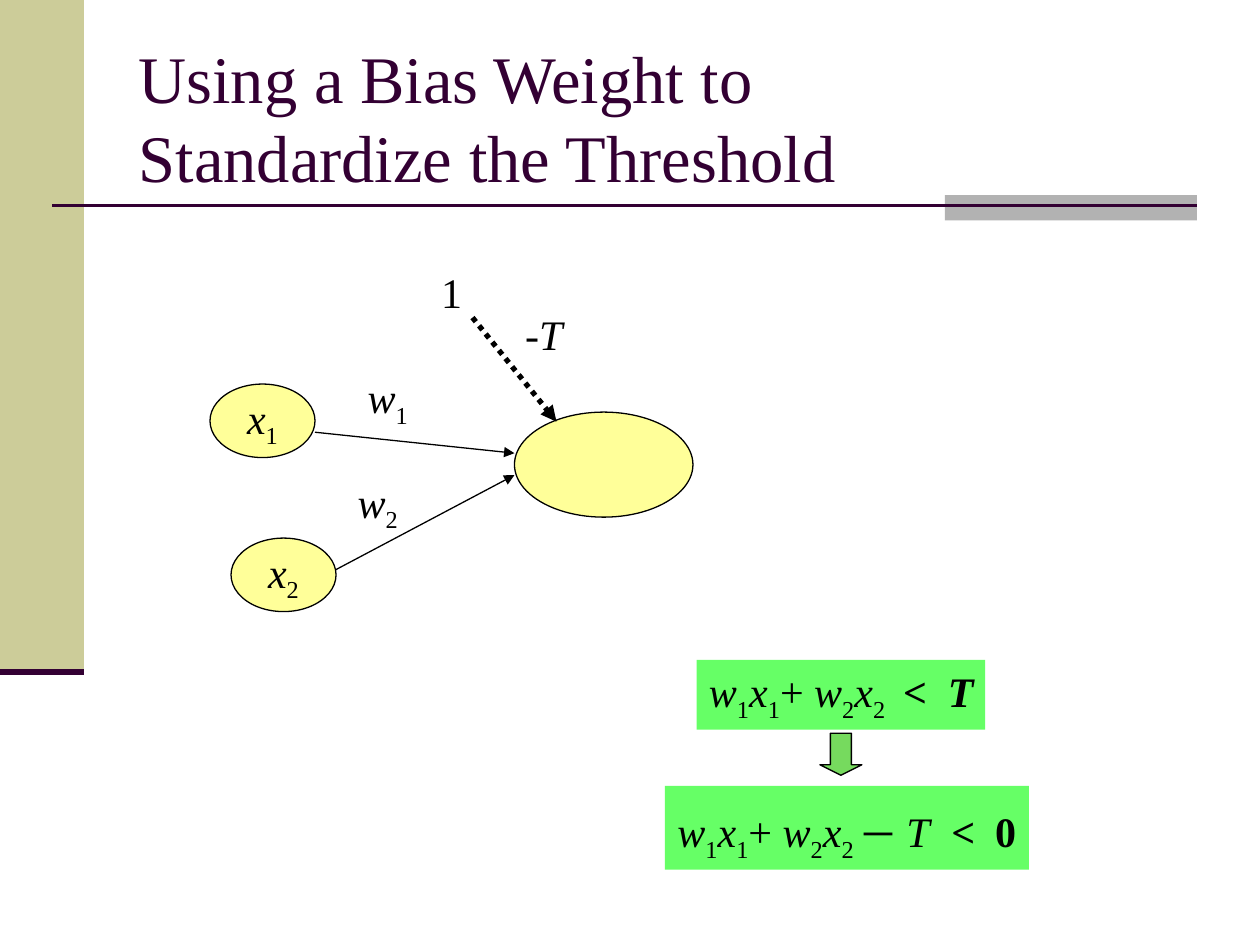
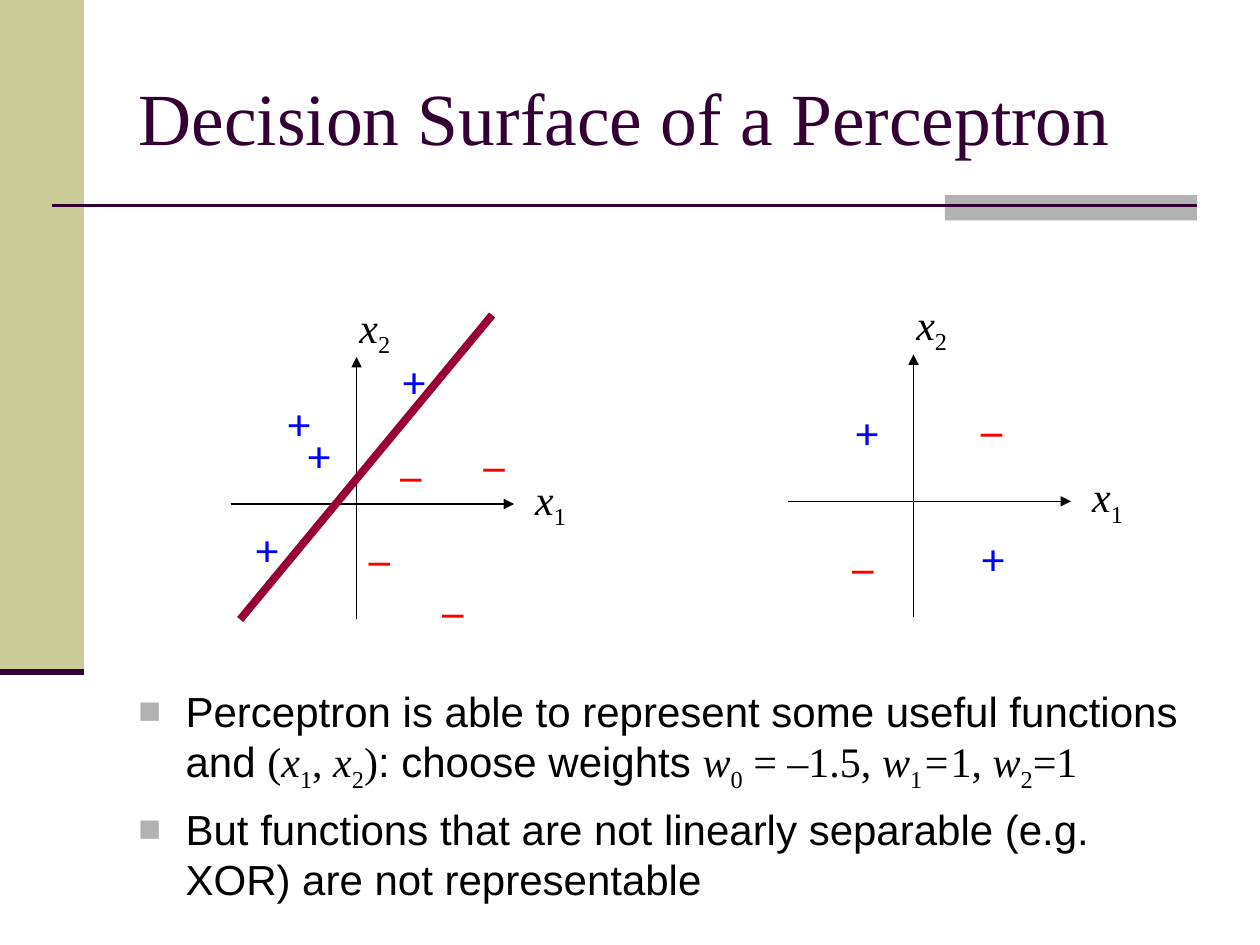
import pptx
import pptx.util
import pptx.dml.color
import pptx.enum.dml
import pptx.enum.shapes
import pptx.enum.text
import pptx.oxml
import pptx.oxml.ns

Pt = pptx.util.Pt
SHAPE = pptx.enum.shapes.MSO_SHAPE
ALIGN = pptx.enum.text.PP_ALIGN
ANCHOR = pptx.enum.text.MSO_ANCHOR

COLORS = {
    "band": "CCCC99", "block": "B2B2B2", "dark": "330033", "ink": "000000",
    "node": "FFFF99", "formula": "66FF66", "arrow": "76DA5E",
    "plus": "0000FF", "minus": "FF0000", "boundary": "990033",
}
SERIF, SANS, MARK_FONT = "Times New Roman", "Arial", "Karla"
TEXT_SIZE = 24


def variable(letter, index):
    return [(letter, {"italic": True}), (index, {"sub": True})]


W1, W2 = variable("w", "1"), variable("w", "2")
X1, X2 = variable("x", "1"), variable("x", "2")
WEIGHTED_SUM = W1 + X1 + [("+ ", {})] + W2 + X2

BIAS_TITLE = (["Using a Bias Weight to ", "Standardize the Threshold"], 38)
OUTPUT_NODE = (294, 235.5, 102, 60)
INPUT_NODES = [(X1, (120, 219.5, 60, 42)), (X2, (132, 307.5, 60, 42))]
INPUT_ARROWS = [((180, 247), (294, 259)), ((192, 325.5), (294, 271.5))]
BIAS_ARROW = ((270, 181.5), (318, 241))
NETWORK_LABELS = [
    ([("1", {})], (245, 148.5, 26, 36)),
    ([("-", {}), ("T", {"italic": True})], (293, 173, 35, 36)),
    (W1, (203, 209, 37.5, 40)),
    (W2, (197.25, 268.5, 37.5, 40)),
]
FORMULAS = [
    (WEIGHTED_SUM + [("\t<\t", {"bold": True}), ("T", {"bold": True, "italic": True})],
     (398, 377, 165, 40), (111, 136.5)),
    (WEIGHTED_SUM + [(" ", {}), ("– ", {"size": 32}), ("T", {"italic": True}),
                     ("\t<\t0", {"bold": True})],
     (380, 449, 208, 48), (156.5, 181.5)),
]
FORMULA_ARROW = (468.5, 419, 24, 24)

SURFACE_TITLE = (["Decision Surface of a Perceptron"], 42)
AXES = [((0, 66), (0, -84)), ((-72, 0), (90, 0))]
AXIS_LABELS = [(X1, (95, -21)), (X2, (-5.5, -119.5))]
MARKS = {
    "plus": ("+", 28, {"font": MARK_FONT, "color": "plus"}),
    "minus": ("–", 26, {"bold": True, "color": "minus"}),
}
PLOTS = [
    {"origin": (203.75, 288),
     "plus": [(19.5, -90), (-34.5, -48), (-46, -66), (-64, 6)],
     "minus": [(0, 13), (18, -35), (42, 42.5), (65.5, -41)],
     "boundary": ((-66.5, 66), (77.5, -108))},
    {"origin": (522, 286.5),
     "plus": [(-39.5, -59.5), (32.5, 12.5)],
     "minus": [(-42, 19), (31.5, -59.5)]},
]
SANS_STYLE = {"font": SANS}
BULLETS = [
    [("Perceptron is able to represent some useful functions and ", SANS_STYLE), ("(", {})]
    + X1 + [(", ", {})] + X2 + [(")", {}), (": choose weights ", SANS_STYLE)]
    + variable("w", "0") + [(" = –1.5, ", {})]
    + W1 + [("=", {"italic": True}), ("1, ", {})] + W2 + [("=1", {})],
    [("But functions that are not linearly separable (e.g. XOR) are not representable",
      SANS_STYLE)],
]


def rgb(name):
    return pptx.dml.color.RGBColor.from_string(COLORS[name])


def points(values):
    return [Pt(value) for value in values]


def add_xml(parent, tag, children="", **attributes):
    text = "".join(f' {key}="{value}"' for key, value in attributes.items())
    parent.append(pptx.oxml.parse_xml(
        f'<a:{tag} {pptx.oxml.ns.nsdecls("a")}{text}>{children}</a:{tag}>'))


def format_font(font, name=SERIF, size=TEXT_SIZE, color="ink", bold=False, italic=False):
    font.name = name
    font.size = Pt(size)
    font.bold = bold
    font.italic = italic
    font.color.rgb = rgb(color)


def add_runs(para, runs):
    for text, style in runs:
        span = para.add_run()
        span.text = text
        format_font(span.font, style.get("font", SERIF), style.get("size", TEXT_SIZE),
                    style.get("color", "ink"), style.get("bold", False),
                    style.get("italic", False))
        if style.get("sub"):
            span.font._element.set("baseline", "-25000")


def add_label(page, runs, bounds):
    box = page.shapes.add_textbox(*points(bounds))
    box.text_frame.word_wrap = True
    box.text_frame.margin_right = 0
    add_runs(box.text_frame.paragraphs[0], runs)
    return box


def add_figure(page, kind, bounds, fill, outlined=False):
    figure = page.shapes.add_shape(kind, *points(bounds))
    figure.shadow.inherit = False
    figure.fill.solid()
    figure.fill.fore_color.rgb = rgb(fill)
    if outlined:
        figure.line.color.rgb = rgb("ink")
        figure.line.width = Pt(0.75)
    else:
        figure.line.fill.background()
    return figure


def add_line(page, start, end, color="ink", width=0.75, arrow=False, dotted=False):
    line = page.shapes.add_connector(
        pptx.enum.shapes.MSO_CONNECTOR.STRAIGHT, *points(start + end))
    line.line.color.rgb = rgb(color)
    line.line.width = Pt(width)
    if dotted:
        line.line.dash_style = pptx.enum.dml.MSO_LINE.ROUND_DOT
    properties = line.element.spPr
    if arrow:
        add_xml(properties.find(pptx.oxml.ns.qn("a:ln")), "tailEnd", type="triangle")
    add_xml(properties, "effectLst")


def add_page(deck, heading):
    lines, size = heading
    page = deck.slides.add_slide(deck.slide_layouts[5])
    add_figure(page, SHAPE.RECTANGLE, (0, 0, 48, 384), "band")
    add_figure(page, SHAPE.RECTANGLE, (540, 111.5, 144, 14.5), "block")
    add_line(page, (30, 117.3), (684, 117.3), "dark", 1.5)
    add_line(page, (0, 384), (48, 384), "dark", 3.5)
    title = page.shapes.title
    title.left, title.top, title.width, title.height = points((72, 21.5, 612, 90))
    frame = title.text_frame
    frame.word_wrap = True
    frame.auto_size = pptx.enum.text.MSO_AUTO_SIZE.NONE
    frame.vertical_anchor = ANCHOR.MIDDLE
    para = frame.paragraphs[0]
    para.alignment = ALIGN.LEFT
    for index, text in enumerate(lines):
        if index:
            para.add_line_break()
        add_runs(para, [(text, {"size": size, "color": "dark"})])
    format_font(para.font, size=size, color="dark")
    return page


def add_formula(page, runs, bounds, stops):
    box = add_label(page, runs, bounds)
    box.fill.solid()
    box.fill.fore_color.rgb = rgb("formula")
    tabs = "".join(f'<a:tab pos="{Pt(stop)}" algn="l"/>' for stop in stops)
    add_xml(box.text_frame.paragraphs[0]._p.get_or_add_pPr(), "tabLst", tabs)


def build_bias_page(deck):
    page = add_page(deck, BIAS_TITLE)
    add_figure(page, SHAPE.OVAL, OUTPUT_NODE, "node", True)
    add_line(page, *BIAS_ARROW, width=3, arrow=True, dotted=True)
    for runs, bounds in INPUT_NODES:
        node = add_figure(page, SHAPE.OVAL, bounds, "node", True)
        node.text_frame.word_wrap = False
        node.text_frame.vertical_anchor = ANCHOR.MIDDLE
        para = node.text_frame.paragraphs[0]
        para.alignment = ALIGN.CENTER
        add_runs(para, runs)
    for start, end in INPUT_ARROWS:
        add_line(page, start, end, arrow=True)
    for runs, bounds in NETWORK_LABELS:
        add_label(page, runs, bounds)
    for formula in FORMULAS:
        add_formula(page, *formula)
    arrow = add_figure(page, SHAPE.DOWN_ARROW, FORMULA_ARROW, "arrow", True)
    arrow.adjustments[0] = 0.5
    arrow.adjustments[1] = 0.25


def add_plot(page, plot):
    def place(offset):
        return tuple(base + step for base, step in zip(plot["origin"], offset))

    for start, end in AXES:
        add_line(page, place(start), place(end), arrow=True)
    for kind, (symbol, width, style) in MARKS.items():
        for offset in plot[kind]:
            add_label(page, [(symbol, style)], place(offset) + (width, 36))
    for runs, offset in AXIS_LABELS:
        add_label(page, runs, place(offset) + (31.5, 40))
    if "boundary" in plot:
        start, end = plot["boundary"]
        add_line(page, place(start), place(end), "boundary", 4.5)


def add_bullets(page):
    box = page.shapes.add_textbox(*points((72, 388, 612, 133)))
    frame = box.text_frame
    frame.word_wrap = True
    for index, runs in enumerate(BULLETS):
        para = frame.add_paragraph() if index else frame.paragraphs[0]
        properties = para._p.get_or_add_pPr()
        properties.set("marL", str(Pt(27)))
        properties.set("indent", str(-Pt(27)))
        add_xml(properties, "buClr", f'<a:srgbClr val="{COLORS["block"]}"/>')
        add_xml(properties, "buSzPct", val="90000")
        add_xml(properties, "buFont", typeface=SANS)
        add_xml(properties, "buChar", char="■")
        para.space_before = Pt(6 if index else 0)
        add_runs(para, runs)


def build_surface_page(deck):
    page = add_page(deck, SURFACE_TITLE)
    add_bullets(page)
    for plot in PLOTS:
        add_plot(page, plot)


def main():
    deck = pptx.Presentation()
    deck.slide_width, deck.slide_height = points((720, 540))
    build_bias_page(deck)
    build_surface_page(deck)
    deck.save("out.pptx")


if __name__ == "__main__":
    main()
